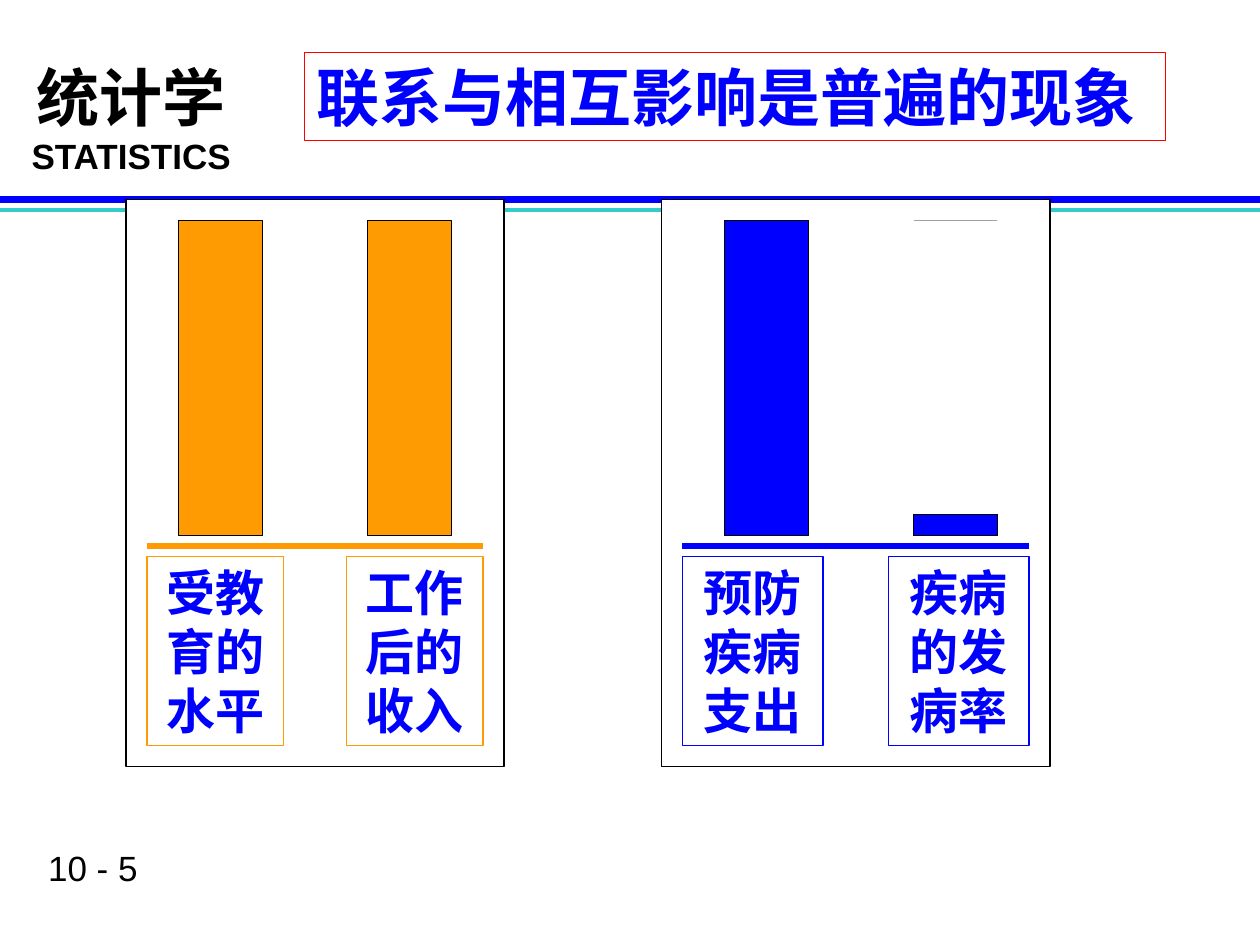
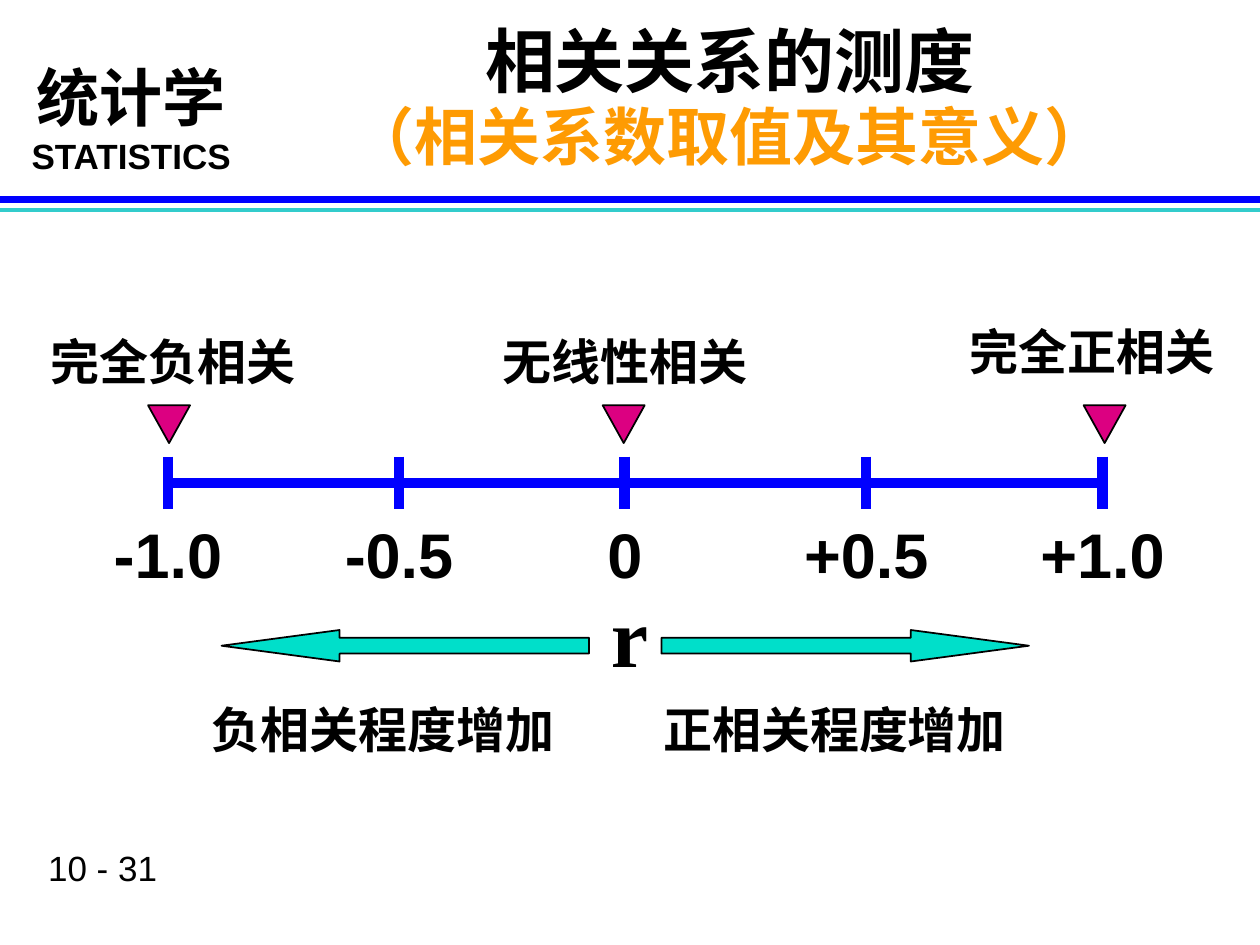
from dataclasses import dataclass
from typing import NamedTuple, Optional

from lxml.etree import SubElement
from pptx import Presentation
from pptx.dml.color import RGBColor
from pptx.enum.shapes import MSO_CONNECTOR as Connector, MSO_SHAPE as Preset
from pptx.enum.text import MSO_ANCHOR as Anchor, PP_ALIGN as Align
from pptx.oxml.ns import qn
from pptx.util import Inches, Pt

WIDTH, HEIGHT = Inches(10), Inches(7.5)
COLUMN, ROW = WIDTH / 120, HEIGHT / 90


@dataclass(frozen=True)
class Theme:
    """Colours, fonts, type sizes and line widths of the presentation."""
    black: str = "000000"
    white: str = "FFFFFF"
    grey: str = "A0A0A0"
    blue: str = "0000FF"
    teal: str = "33CCCC"
    aqua: str = "00DFCA"
    red: str = "FF0000"
    orange: str = "FE9B03"
    magenta: str = "DC0081"
    sans: str = "Arial"
    serif: str = "Times New Roman"
    title_font: str = "Cambria"
    small: int = 20
    label: int = 28
    heading: int = 36
    title: int = 40
    symbol: int = 48
    hairline: float = 0.75
    outline: float = 1


THEME = Theme()


class Area(NamedTuple):
    """A rectangle in grid columns and rows."""
    left: float
    top: float
    width: float
    height: float


class Style(NamedTuple):
    """The look of one line of text."""
    size: int
    font: str = THEME.sans
    color: str = THEME.black
    bold: bool = True


class Bar(NamedTuple):
    """A bar with the caption under it."""
    left: float
    height: float
    caption_left: float
    caption: str


class Panel(NamedTuple):
    """A framed pair of bars."""
    left: float
    width: float
    caption_width: float
    color: str
    bars: tuple[Bar, ...]


class Marker(NamedTuple):
    """A pointer above the scale and its label."""
    center: float
    text: str
    label: Area


class Trend(NamedTuple):
    """A block arrow and the label under it."""
    preset: Preset
    arrow: Area
    label: Area
    text: str


LABEL = Style(THEME.label)
TICK = Style(THEME.heading)
CAPTION = Style(THEME.label, THEME.serif, THEME.blue)
BAR_TOP, BAR_BOTTOM, BAR_WIDTH = 21, 51, 8
AXIS_ROW, TICK_REACH = 46, 2.5

PANELS = (
    Panel(12, 36, 13, THEME.orange, (
        Bar(17, 30, 14, "受教育的水平"),
        Bar(35, 30, 33, "工作后的收入"))),
    Panel(63, 37, 13.4, THEME.blue, (
        Bar(69, 30, 65, "预防疾病支出"),
        Bar(87, 2, 84.6, "疾病的发病率"))),
)
TICKS = {"-1.0": 16, "-0.5": 38, "0": 59.5, "+0.5": 82.5, "+1.0": 105}
MARKERS = (
    Marker(16.1, "完全负相关", Area(3, 31, 27, 6.7)),
    Marker(59.4, "无线性相关", Area(46, 31, 27, 6.7)),
    Marker(105.2, "完全正相关", Area(91, 30, 26, 6.7)),
)
TRENDS = (
    Trend(Preset.LEFT_ARROW, Area(21.1, 60, 35, 3),
          Area(19, 66, 36, 6.7), "负相关程度增加"),
    Trend(Preset.RIGHT_ARROW, Area(63, 60, 35, 3),
          Area(62, 66, 36, 6.7), "正相关程度增加"),
)


def place(area: Area) -> tuple[int, int, int, int]:
    """Turn a grid area into slide lengths."""
    return (round(area.left * COLUMN), round(area.top * ROW),
            round(area.width * COLUMN), round(area.height * ROW))


def write(shape, text: str, *styles: Style, align: Align = Align.CENTER,
          anchor: Anchor = Anchor.TOP, spacing: float = 1) -> None:
    """Fill a shape with text, one style for each line."""
    frame = shape.text_frame
    frame.text = text
    frame.word_wrap = True
    frame.vertical_anchor = anchor
    paragraph = frame.paragraphs[0]
    paragraph.alignment = align
    paragraph.line_spacing = spacing
    for run, style in zip(paragraph.runs, styles):
        run.font.size = Pt(style.size)
        run.font.name = style.font
        run.font.bold = style.bold
        run.font.color.rgb = RGBColor.from_string(style.color)


def add_text(slide, area: Area, text: str, *styles: Style, **layout) -> None:
    """Add a text box."""
    write(slide.shapes.add_textbox(*place(area)), text, *styles, **layout)


def add_box(slide, area: Area, fill: Optional[str] = None,
            line: str = THEME.black, width: float = THEME.hairline,
            preset: Preset = Preset.RECTANGLE):
    """Add an outlined preset shape, filled if a colour is given."""
    shape = slide.shapes.add_shape(preset, *place(area))
    shape.shadow.inherit = False
    if fill:
        shape.fill.solid()
        shape.fill.fore_color.rgb = RGBColor.from_string(fill)
    else:
        shape.fill.background()
    shape.line.color.rgb = RGBColor.from_string(line)
    shape.line.width = Pt(width)
    return shape


def add_line(slide, start: tuple[float, float], end: tuple[float, float],
             color: str, width: float) -> None:
    """Add a straight line between two grid points."""
    line = slide.shapes.add_connector(
        Connector.STRAIGHT,
        round(start[0] * COLUMN), round(start[1] * ROW),
        round(end[0] * COLUMN), round(end[1] * ROW))
    line.line.color.rgb = RGBColor.from_string(color)
    line.line.width = Pt(width)
    SubElement(line._element.spPr, qn("a:effectLst"))


def add_base_slide(presentation, number: int):
    """Add a slide with the course name, header rules and page number."""
    slide = presentation.slides.add_slide(presentation.slide_layouts[6])
    add_text(slide, Area(3.4, 80, 24.2, 5.2), f"10 - {number}",
             Style(THEME.small, bold=False), align=Align.LEFT)
    add_text(slide, Area(0, 5, 25, 16.3), "统计学\vSTATISTICS",
             Style(THEME.heading), Style(THEME.small))
    add_line(slide, (0, 20), (120, 20), THEME.teal, 2.25)
    add_line(slide, (0, 19), (120, 19), THEME.blue, 4.5)
    return slide


def add_panel(slide, panel: Panel) -> None:
    """Draw a frame with its bars, baseline and captions."""
    add_box(slide, Area(panel.left, 19, panel.width, 54), THEME.white)
    add_line(slide, (panel.left + 2, 52), (panel.left + panel.width - 2, 52),
             panel.color, 3)
    for bar in panel.bars:
        top = BAR_BOTTOM - bar.height
        add_box(slide, Area(bar.left, top, BAR_WIDTH, bar.height), panel.color)
        if top > BAR_TOP:
            add_line(slide, (bar.left, BAR_TOP),
                     (bar.left + BAR_WIDTH, BAR_TOP), THEME.grey, 0.5)
        caption = add_box(
            slide, Area(bar.caption_left, 53, panel.caption_width, 18),
            line=panel.color)
        write(caption, bar.caption, CAPTION)


def add_influence_slide(presentation) -> None:
    """Compare two pairs of linked quantities."""
    slide = add_base_slide(presentation, 5)
    title = add_box(slide, Area(29, 5, 82, 8.4), line=THEME.red)
    write(title, "联系与相互影响是普遍的现象",
          Style(THEME.heading, THEME.serif, THEME.blue), align=Align.LEFT)
    for panel in PANELS:
        add_panel(slide, panel)


def add_correlation_slide(presentation) -> None:
    """Show the range of the correlation coefficient on a scale."""
    slide = add_base_slide(presentation, 31)
    add_text(slide, Area(23, 2, 93, 14.9),
             "相关关系的测度\v（相关系数取值及其意义）",
             Style(THEME.title, THEME.title_font),
             Style(THEME.heading, THEME.title_font, THEME.orange),
             anchor=Anchor.MIDDLE, spacing=0.95)
    add_line(slide, (TICKS["-1.0"], AXIS_ROW), (TICKS["+1.0"], AXIS_ROW),
             THEME.blue, 6)
    for text, column in TICKS.items():
        add_line(slide, (column, AXIS_ROW - TICK_REACH),
                 (column, AXIS_ROW + TICK_REACH), THEME.blue, 6)
        add_text(slide, Area(column - 10, 48.5, 20, 8.4), text, TICK)
    for marker in MARKERS:
        pointer = add_box(slide, Area(marker.center - 2, 38.6, 4, 3.6),
                          THEME.magenta, width=THEME.outline,
                          preset=Preset.ISOSCELES_TRIANGLE)
        pointer.rotation = 180
        add_text(slide, marker.label, marker.text, LABEL)
    for trend in TRENDS:
        arrow = add_box(slide, trend.arrow, THEME.aqua, width=THEME.outline,
                        preset=trend.preset)
        arrow.adjustments[0] = 0.5
        arrow.adjustments[1] = 3.75
        add_text(slide, trend.label, trend.text, LABEL, align=Align.LEFT)
    add_text(slide, Area(57, 55, 5, 10.8), "r",
             Style(THEME.symbol, THEME.serif), align=Align.LEFT)


def main() -> None:
    """Build and save the presentation."""
    presentation = Presentation()
    presentation.slide_width, presentation.slide_height = WIDTH, HEIGHT
    add_influence_slide(presentation)
    add_correlation_slide(presentation)
    presentation.save("out.pptx")


if __name__ == "__main__":
    main()
